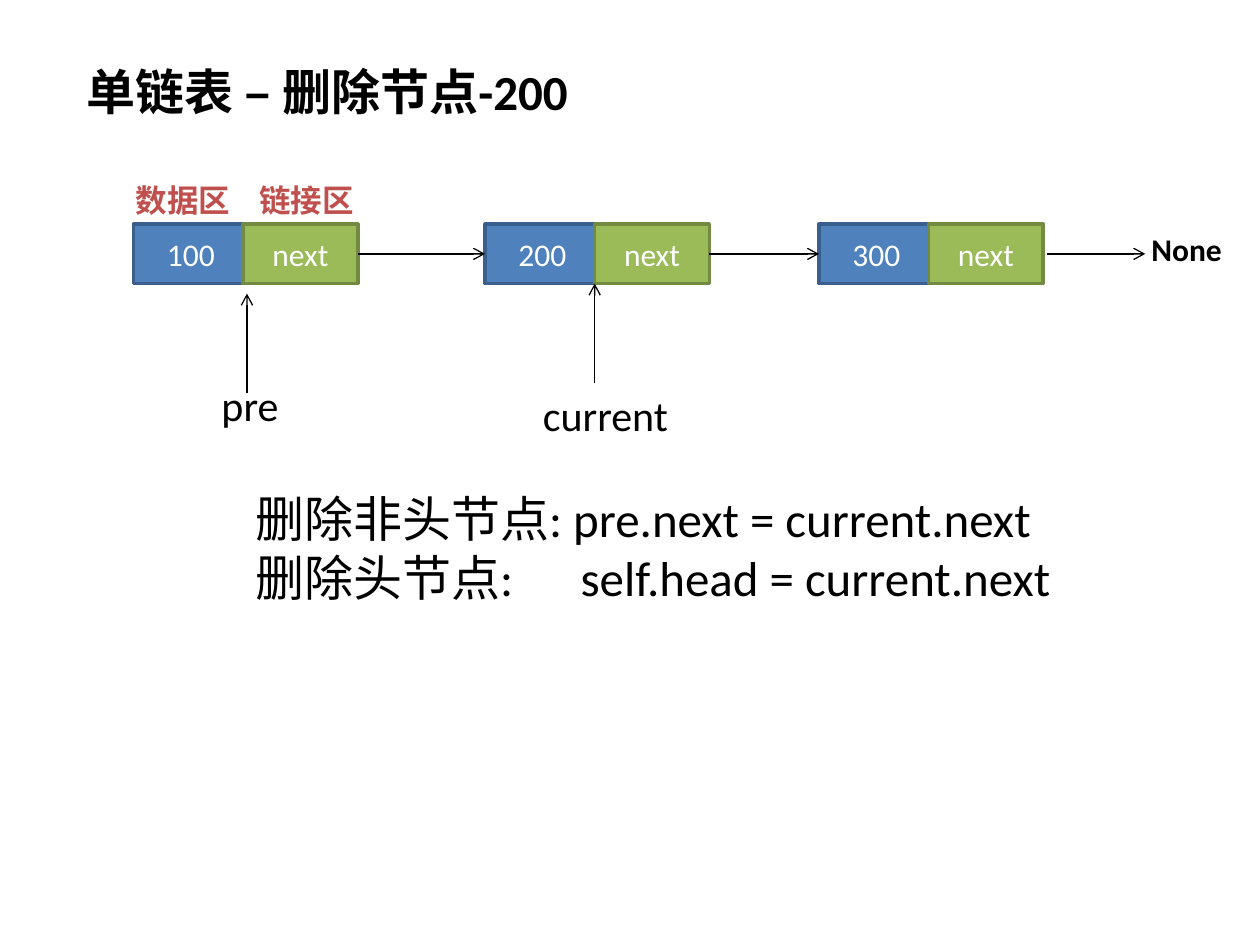
from lxml import etree
from pptx import Presentation
from pptx.dml.color import RGBColor
from pptx.enum.shapes import MSO_CONNECTOR, MSO_SHAPE
from pptx.enum.text import MSO_ANCHOR, MSO_AUTO_SIZE, PP_ALIGN
from pptx.oxml.ns import qn
from pptx.util import Inches, Pt

BLACK = RGBColor(0x00, 0x00, 0x00)
WHITE = RGBColor(0xFF, 0xFF, 0xFF)
RED = RGBColor(0xC0, 0x50, 0x4D)
BLUE = RGBColor(0x4F, 0x81, 0xBD)
DARK_BLUE = RGBColor(0x3A, 0x5F, 0x8C)
GREEN = RGBColor(0x9B, 0xBB, 0x59)
DARK_GREEN = RGBColor(0x73, 0x8A, 0x42)
FONT = "Calibri"

# Content
TITLE = "单链表 – 删除节点-200"
NODES = [("100", 1.06), ("200", 3.85), ("300", 6.5)]  # value, left
# lines, box, size, bold, colour, wrap, tab stop
TEXTS = [
    (["None"], (9.04, 1.78, 0.76, 0.4), 18, True, BLACK, False, None),
    (["数据区\t链接区"], (0.98, 1.39, 2.1, 0.4), 18, True, RED, True, 0.98),
    (["current"], (4.21, 3.04, 1.21, 0.5), 24, False, BLACK, False, None),
    (["pre"], (1.66, 2.96, 0.66, 0.5), 24, False, BLACK, False, None),
    (["删除非头节点: pre.next = current.next",
      "删除头节点:\tself.head = current.next"],
     (1.93, 3.83, 7.37, 1.04), 28, False, BLACK, True, 2.58),
]

# Node geometry
NODE_TOP, CELL_W, CELL_H = 1.78, 0.91, 0.47
NEXT_DX = 0.87  # the link cell overlaps the data cell slightly
MID_Y = NODE_TOP + CELL_H / 2
NODE_BOTTOM = NODE_TOP + CELL_H
ARROW = 0.79

prs = Presentation()
prs.slide_width, prs.slide_height = Inches(10), Inches(7.5)
slide = prs.slides.add_slide(prs.slide_layouts[5])


def style(p, size, color, bold=False):
    p.font.name, p.font.size = FONT, Pt(size)
    p.font.bold, p.font.color.rgb = bold, color


def add_cell(text, left, fill, line):
    sp = slide.shapes.add_shape(MSO_SHAPE.RECTANGLE, Inches(left), Inches(NODE_TOP),
                                Inches(CELL_W), Inches(CELL_H))
    sp.shadow.inherit = False
    sp.fill.solid()
    sp.fill.fore_color.rgb = fill
    sp.line.color.rgb, sp.line.width = line, Pt(2)
    tf = sp.text_frame
    tf.text, tf.vertical_anchor = text, MSO_ANCHOR.MIDDLE
    tf.paragraphs[0].alignment = PP_ALIGN.CENTER
    style(tf.paragraphs[0], 18, WHITE)
    return sp


def add_arrow(x1, y1, x2, y2):
    line = slide.shapes.add_connector(MSO_CONNECTOR.STRAIGHT, Inches(x1), Inches(y1),
                                      Inches(x2), Inches(y2))
    line.line.color.rgb, line.line.width = BLACK, Pt(0.75)
    etree.SubElement(line.line._get_or_add_ln(), qn("a:tailEnd"), type="arrow")
    etree.SubElement(line._element.spPr, qn("a:effectLst"))
    return line


def add_text(lines, box, size, bold, color, wrap, tab):
    tf = slide.shapes.add_textbox(*map(Inches, box)).text_frame
    tf.word_wrap = wrap
    tf.text = "\n".join(lines)
    for p in tf.paragraphs:
        style(p, size, color, bold)
        if tab:
            tabs = etree.Element(qn("a:tabLst"))
            etree.SubElement(tabs, qn("a:tab"), pos=str(Inches(tab)), algn="l")
            p._p.get_or_add_pPr().insert(0, tabs)


# Title
title = slide.shapes.title
title.left, title.top, title.width, title.height = map(Inches, (0.59, 0.44, 4.06, 0.57))
tf = title.text_frame
tf.text, tf.word_wrap = TITLE, True
tf.auto_size, tf.vertical_anchor = MSO_AUTO_SIZE.NONE, MSO_ANCHOR.TOP
tf.paragraphs[0].alignment = PP_ALIGN.LEFT
style(tf.paragraphs[0], 28, BLACK, True)

# Nodes: a data cell and a link cell each
cells = [(add_cell(value, left, BLUE, DARK_BLUE),
          add_cell("next", left + NEXT_DX, GREEN, DARK_GREEN)) for value, left in NODES]

# Links from each node to the following one, and to None
for (_, link), (data, _) in zip(cells, cells[1:]):
    line = add_arrow(0, MID_Y, 1, MID_Y)
    line.begin_connect(link, 3)
    line.end_connect(data, 1)
add_arrow(8.31, MID_Y, 9.09, MID_Y)

# Pointers: pre and current
for x, tip in [(1.96, NODE_BOTTOM + 0.08), (4.72, NODE_BOTTOM)]:
    add_arrow(x, tip + ARROW, x, tip)

# Labels and rules
for text in TEXTS:
    add_text(*text)

prs.save("out.pptx")
